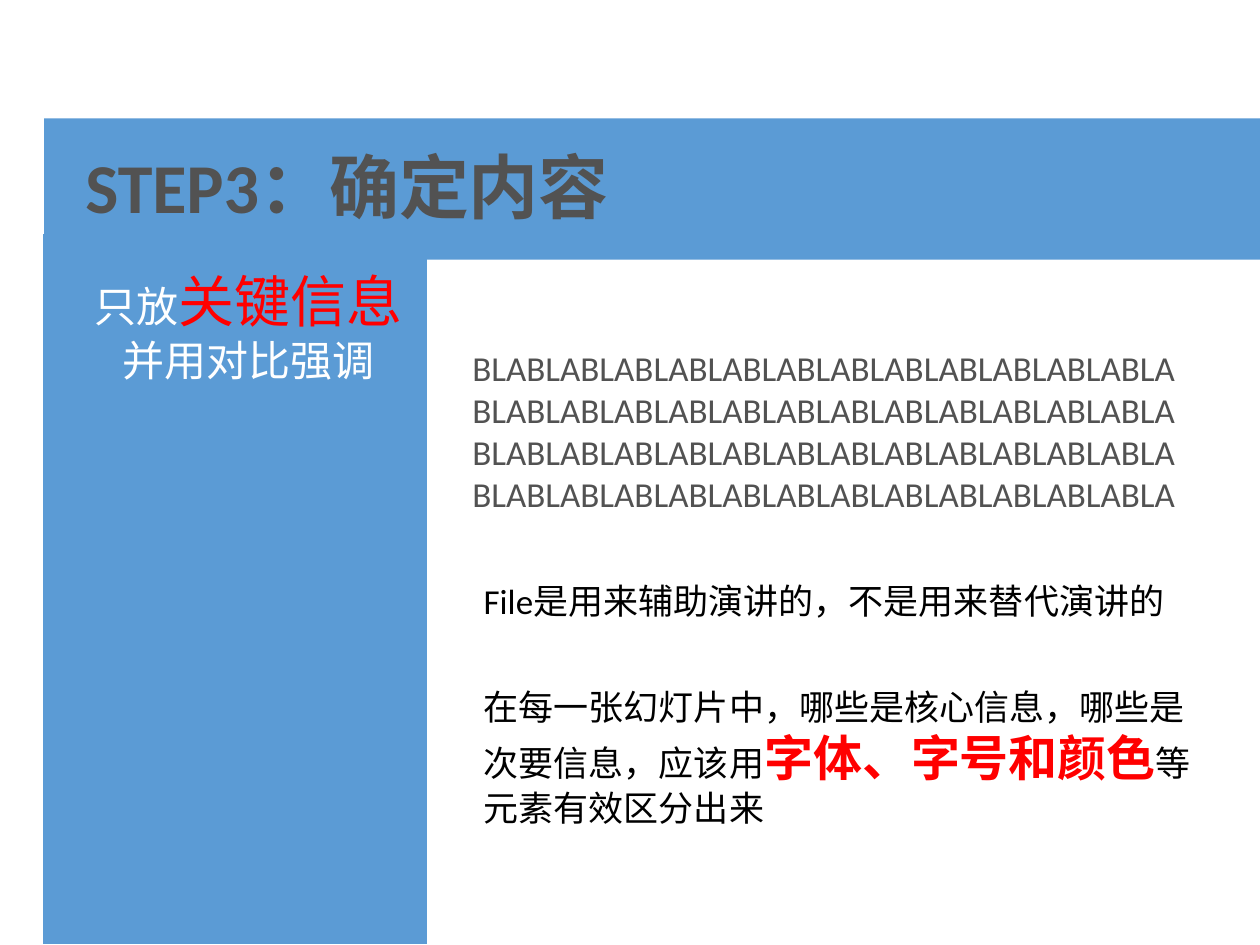
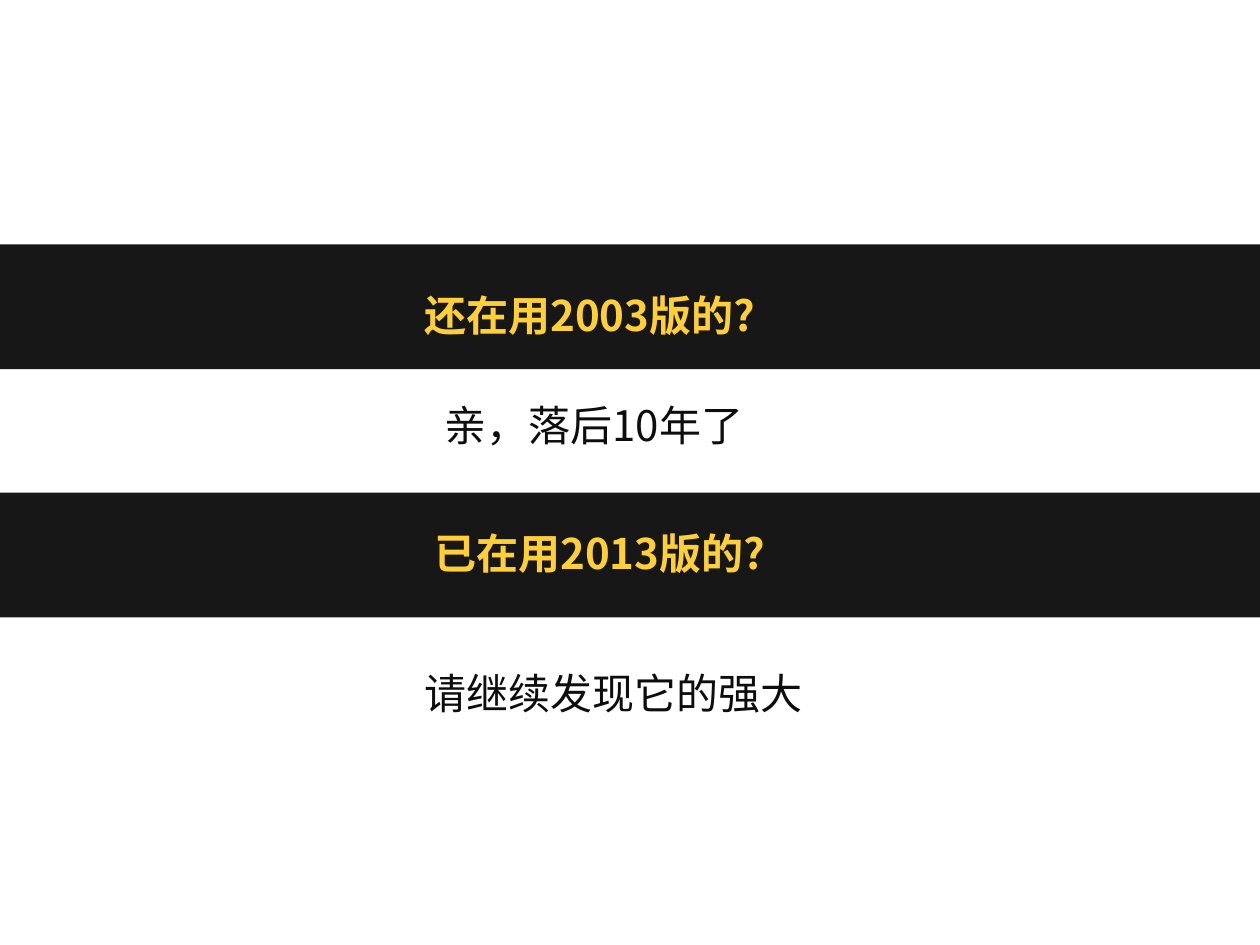
from lxml.etree import SubElement
from pptx import Presentation
from pptx.dml.color import RGBColor
from pptx.enum.shapes import MSO_SHAPE
from pptx.enum.text import MSO_AUTO_SIZE, PP_ALIGN
from pptx.oxml.ns import qn
from pptx.util import Pt

EMU_PER_PX = 9144  # 100 px to the inch
PAGE_WIDTH, PAGE_HEIGHT = 1000, 750
COLORS = {
    "blue": "5B9BD5",
    "white": "FFFFFF",
    "gray": "525252",
    "black": "000000",
    "red": "FF0000",
    "band": "181717",
    "yellow": "FFCF37",
    "ink": "0D0D0D",
}
LATIN, CHINESE = "Calibri", "Noto Sans CJK SC"


def px(length):
    return length * EMU_PER_PX


def rgb(name):
    return RGBColor.from_string(COLORS[name])


def write(para, text, size=20, color="black", bold=False, font=CHINESE):
    """Add one formatted span to a paragraph."""
    span = para.add_run()
    span.text = text
    span.font.size = Pt(size)
    span.font.bold = bold
    span.font.color.rgb = rgb(color)
    span.font.name = font
    east_asian = SubElement(span._r.get_or_add_rPr(), qn("a:ea"))
    east_asian.set("typeface", CHINESE)


class Deck:
    def __init__(self):
        self.deck = Presentation()
        self.deck.slide_width = px(PAGE_WIDTH)
        self.deck.slide_height = px(PAGE_HEIGHT)
        self.page = None

    def add_page(self):
        self.page = self.deck.slides.add_slide(self.deck.slide_layouts[6])

    def block(self, left, top, width, height, fill, line=None):
        shape = self.page.shapes.add_shape(
            MSO_SHAPE.RECTANGLE, px(left), px(top), px(width), px(height))
        shape.shadow.inherit = False
        shape.fill.solid()
        shape.fill.fore_color.rgb = rgb(fill)
        if line:
            shape.line.color.rgb = rgb(line)
            shape.line.width = Pt(1.5)
        else:
            shape.line.fill.background()

    def text(self, left, top, width, height, *paragraphs, align=PP_ALIGN.LEFT):
        """Each paragraph is a list of (text, format) pairs."""
        box = self.page.shapes.add_textbox(
            px(left), px(top), px(width), px(height))
        frame = box.text_frame
        frame.word_wrap = True
        frame.auto_size = MSO_AUTO_SIZE.SHAPE_TO_FIT_TEXT
        for index, spans in enumerate(paragraphs):
            para = frame.add_paragraph() if index else frame.paragraphs[0]
            para.alignment = align
            for text, style in spans:
                write(para, text, **style)

    def save(self):
        self.deck.save("out.pptx")


def build_content_page(deck):
    deck.add_page()

    # Side panel and title band
    deck.block(33, 185, 307, 565, "blue", line="white")
    deck.block(35, 94, 985, 112, "blue")

    # Filler text
    filler = dict(color="gray", font=LATIN)
    deck.text(365, 270, 579, 145, [("BLA" * 52, filler)])

    # Title
    title = dict(size=40, color="gray", bold=True, font=LATIN)
    deck.text(58, 109, 463, 77, [("STEP3：确定内容", title)])

    # Side message
    message = dict(size=24, color="white")
    deck.text(58, 207, 278, 104,
              [("只放", message), ("关键信息", dict(size=32, color="red"))],
              [("并用对比强调", message)],
              align=PP_ALIGN.CENTER)

    # Explanation
    deck.text(374, 455, 570, 44,
              [("File", dict(font=LATIN)),
               ("是用来辅助演讲的，不是用来替代演讲的", {})])
    deck.text(374, 539, 592, 125,
              [("在每一张幻灯片中，哪些是核心信息，哪些是次要信息，应该用", {}),
               ("字体、字号和颜色", dict(size=28, color="red", bold=True)),
               ("等元素有效区分出来", {})])


def build_version_page(deck):
    deck.add_page()
    question_style = dict(size=24, color="yellow", bold=True)
    answer_style = dict(size=24, color="ink")

    # Band top, then left, top and text of the question and of the answer
    rows = [
        (194, (327, 225, "还在用2003版的?"), (343, 312, "亲，落后10年了")),
        (391, (335, 414, "已在用2013版的?"), (327, 525, "请继续发现它的强大")),
    ]
    for band_top, question, answer in rows:
        deck.block(0, band_top, PAGE_WIDTH, 99, "band")
        for (left, top, text), width, style in (
                (question, 457, question_style), (answer, 331, answer_style)):
            deck.text(left, top, width, 50, [(text, style)])


def main():
    deck = Deck()
    build_content_page(deck)
    build_version_page(deck)
    deck.save()


if __name__ == "__main__":
    main()
